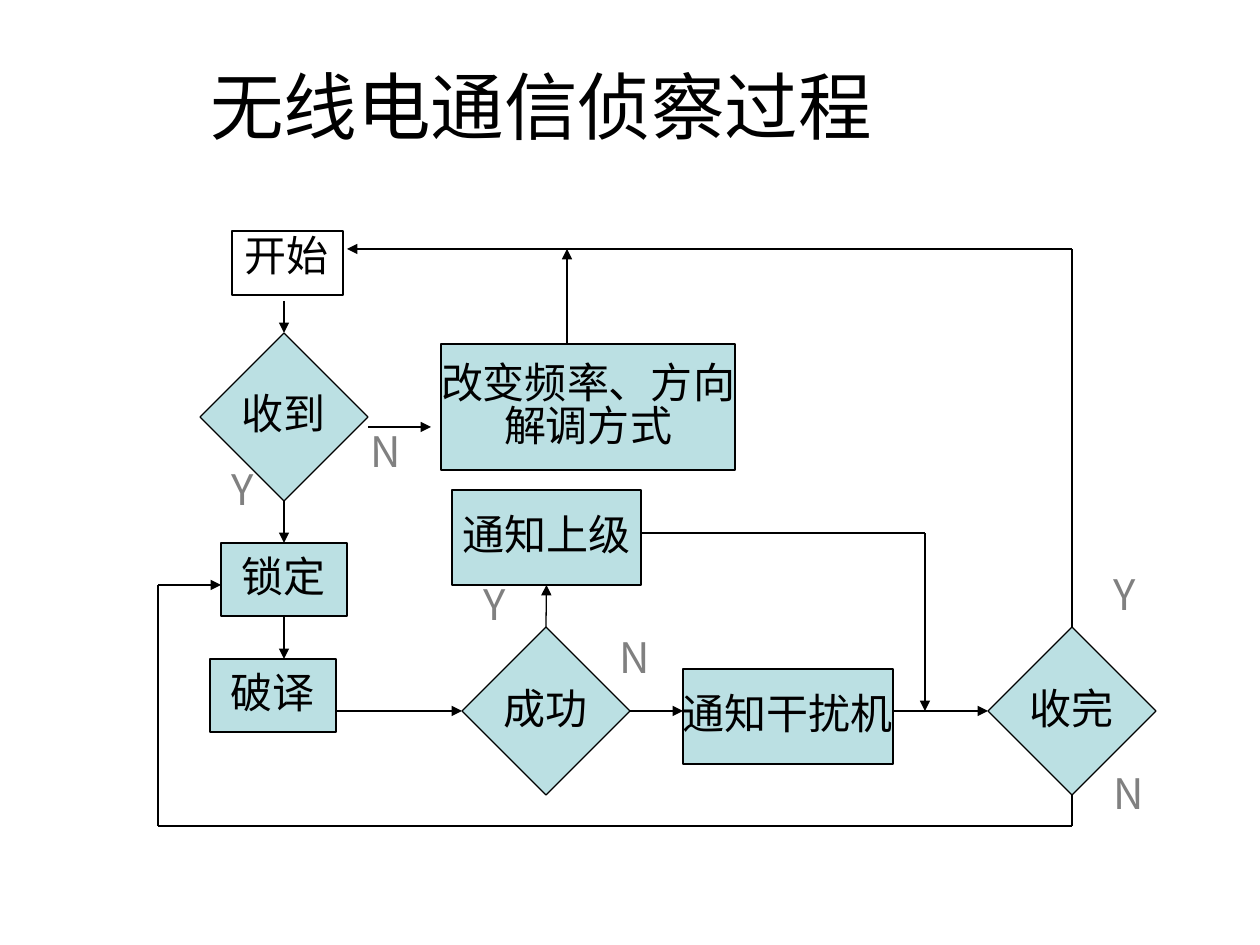
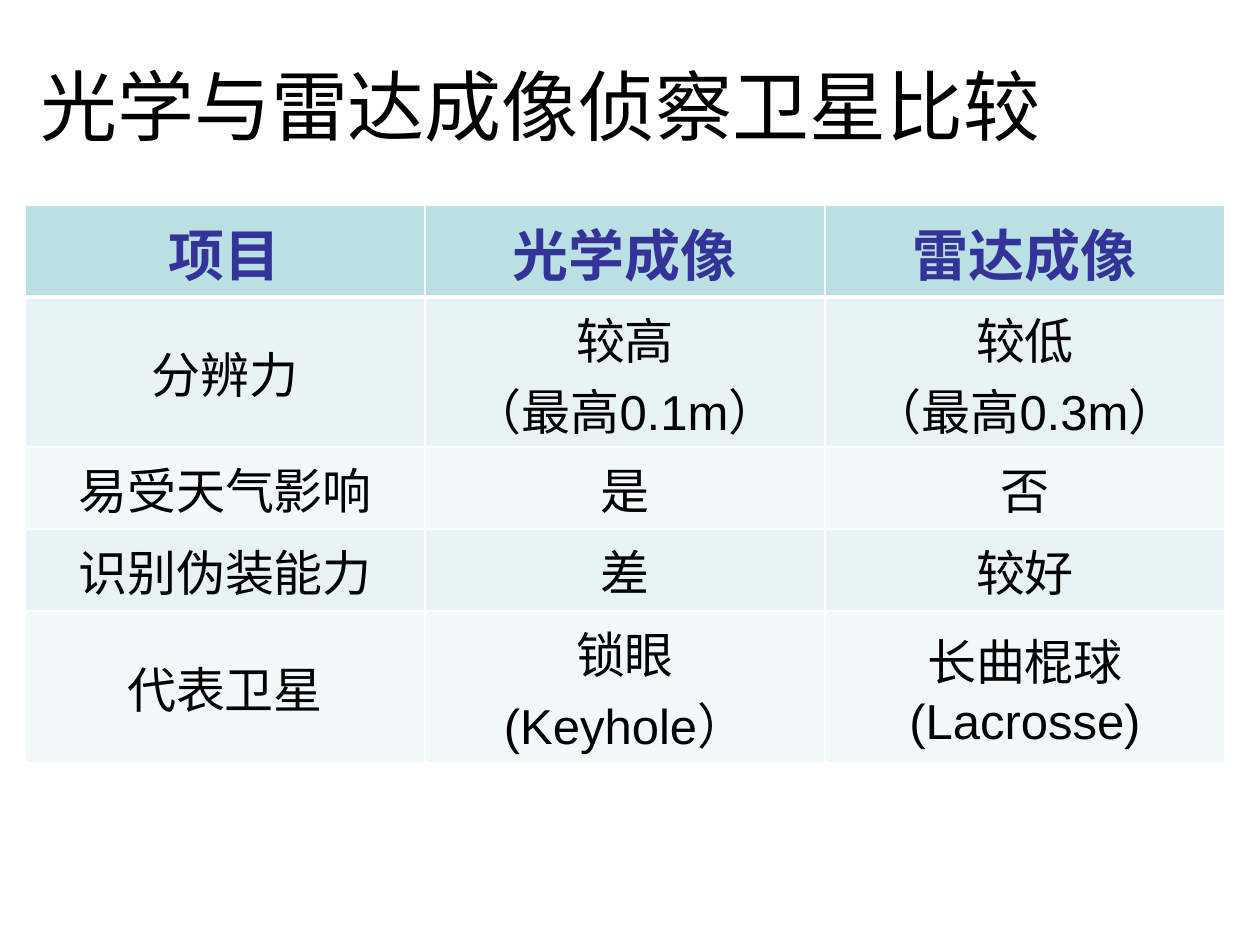
import pptx
import pptx.util
import pptx.dml.color
import pptx.enum.shapes
import pptx.enum.text
import pptx.oxml
import pptx.oxml.ns

RGB = pptx.dml.color.RGBColor
KIND = pptx.enum.shapes.MSO_SHAPE
ANCHOR = pptx.enum.text.MSO_ANCHOR
ALIGN = pptx.enum.text.PP_ALIGN

BLACK = RGB(0x00, 0x00, 0x00)
WHITE = RGB(0xFF, 0xFF, 0xFF)
GRAY = RGB(0x80, 0x80, 0x80)
NAVY = RGB(0x33, 0x33, 0x99)
AQUA = RGB(0xBB, 0xE0, 0xE3)
PALE = RGB(0xE7, 0xF3, 0xF4)
FAINT = RGB(0xF3, 0xF9, 0xFA)

SANS = "Noto Sans CJK SC"
ARIAL = "Arial"
SERIF = "Times New Roman"
TOP, LEFT, BOTTOM, RIGHT = range(4)

STEPS = {
    "start": ("开始", KIND.RECTANGLE, 74, 0, 111, 64),
    "recv": ("收到", KIND.DIAMOND, 42, 102, 168, 168),
    "lock": ("锁定", KIND.RECTANGLE, 63, 312, 126, 73),
    "decode": ("破译", KIND.RECTANGLE, 52, 428, 126, 73),
    "crack": ("成功", KIND.DIAMOND, 304, 396, 168, 168),
    "report": ("通知上级", KIND.RECTANGLE, 294, 259, 189, 95),
    "jam": ("通知干扰机", KIND.RECTANGLE, 525, 438, 210, 95),
    "done": ("收完", KIND.DIAMOND, 830, 396, 168, 168),
    "tune": ("改变频率、方向\n解调方式", KIND.RECTANGLE, 283, 113, 294, 126),
}
ROUTES = [
    [(126, 70), ("recv", TOP)],
    [("recv", BOTTOM), ("lock", TOP)],
    [("lock", BOTTOM), (126, 428)],
    [(178, 480), ("crack", LEFT)],
    [("crack", RIGHT), (525, 480)],
    [(735, 480), ("done", LEFT)],
    [("crack", TOP), ("report", BOTTOM)],
    [("done", BOTTOM), (914, 595), (0, 595), (0, 354), (63, 354)],
    [("done", TOP), (914, 18), (189, 18)],
    [(483, 302), (767, 302), (767, 480)],
    [(210, 196), (273, 196)],
    [(409, 113), (409, 18)],
]
LABELS = [("Y", 61, 234), ("N", 200, 196), ("N", 449, 402),
          ("Y", 313, 349), ("N", 943, 538), ("Y", 943, 339)]
WIDTHS = {"Y": 50, "N": 59}

ROWS = [
    (92, ["项目", "光学成像", "雷达成像"]),
    (150, ["分辨力", "较高\n（最高0.1m）", "较低\n（最高0.3m）"]),
    (82, ["易受天气影响", "是", "否"]),
    (82, ["识别伪装能力", "差", "较好"]),
    (152, ["代表卫星", "锁眼\n(Keyhole）", "长曲棍球\n(Lacrosse)"]),
]


def px(count):
    return round(count * 914400 / 126)


def write(frame, text, size=24, font=SANS, color=BLACK, bold=False,
          align=ALIGN.CENTER, anchor=ANCHOR.MIDDLE, wrap=True, space=None):
    frame.word_wrap = wrap
    frame.vertical_anchor = anchor
    for num, line in enumerate(text.split("\n")):
        para = frame.add_paragraph() if num else frame.paragraphs[0]
        para.alignment = align
        para.line_spacing = space
        run = para.add_run()
        run.text = line
        run.font.size = pptx.util.Pt(size)
        run.font.name = font
        run.font.bold = bold
        run.font.color.rgb = color
        asian = pptx.oxml.parse_xml(
            f'<a:ea {pptx.oxml.ns.nsdecls("a")} typeface="{SANS}"/>')
        run.font.fill
        run.font._element.find(pptx.oxml.ns.qn("a:latin")).addnext(asian)


def title(slide, text, box, **style):
    shape = slide.shapes.add_textbox(*map(px, box))
    write(shape.text_frame, text, **style)


def step(slide, text, kind, box, plain):
    shape = slide.shapes.add_shape(kind, *map(px, box))
    shape.shadow.inherit = False
    shape.line.color.rgb = BLACK
    shape.line.width = pptx.util.Pt(0.75)
    if plain:
        shape.fill.background()
        style = {"align": ALIGN.LEFT, "anchor": ANCHOR.TOP}
    else:
        shape.fill.solid()
        shape.fill.fore_color.rgb = AQUA
        style = {}
    write(shape.text_frame, text, wrap=False, space=0.86, **style)
    return shape


def link(slide, start, end, arrow):
    line = slide.shapes.add_connector(
        pptx.enum.shapes.MSO_CONNECTOR.STRAIGHT, *map(px, start + end))
    line.line.color.rgb = BLACK
    line.line.width = pptx.util.Pt(0.75)
    space = pptx.oxml.ns.nsdecls("a")
    if arrow:
        line.line._get_or_add_ln().append(
            pptx.oxml.parse_xml(f'<a:tailEnd {space} type="triangle"/>'))
    line._element.spPr.append(pptx.oxml.parse_xml(f"<a:effectLst {space}/>"))
    return line


def flow(slide, left, top):
    nodes = {}
    for name, (text, kind, x, y, wide, high) in STEPS.items():
        box = (left + x, top + y, wide, high)
        nodes[name] = step(slide, text, kind, box, name == "start")

    def place(point):
        if point[0] not in STEPS:
            return left + point[0], top + point[1]
        name, side = point
        x, y, wide, high = STEPS[name][2:]
        dx, dy = [(wide / 2, 0), (0, high / 2),
                  (wide / 2, high), (wide, high / 2)][side]
        return left + x + dx, top + y + dy

    for route in ROUTES:
        for start, end in zip(route, route[1:]):
            line = link(slide, place(start), place(end), end is route[-1])
            if start[0] in nodes:
                line.begin_connect(nodes[start[0]], start[1])
            if end[0] in nodes:
                line.end_connect(nodes[end[0]], end[1])

    for text, x, y in LABELS:
        box = (left + x, top + y, WIDTHS[text], 63)
        shape = slide.shapes.add_textbox(*map(px, box))
        write(shape.text_frame, text, color=GRAY, wrap=False, space=0.86,
              align=ALIGN.LEFT, anchor=ANCHOR.TOP)


def border(cell, **widths):
    props = cell._tc.get_or_add_tcPr()
    for side in "LRTB":
        width = pptx.util.Pt(widths.get(side, 1))
        props.append(pptx.oxml.parse_xml(
            f'<a:ln{side} {pptx.oxml.ns.nsdecls("a")} w="{width}">'
            f'<a:solidFill><a:srgbClr val="{WHITE}"/></a:solidFill>'
            f'</a:ln{side}>'))


def grid(slide, left, top, wide):
    high = sum(row[0] for row in ROWS)
    table = slide.shapes.add_table(
        len(ROWS), 3, *map(px, (left, top, wide, high))).table
    table.first_row = table.horz_banding = False
    for col in table.columns:
        col.width = px(wide / 3)
    for num, (tall, texts) in enumerate(ROWS):
        table.rows[num].height = px(tall)
        head = num == 0
        style = ({"size": 32, "color": NAVY, "bold": True} if head
                 else {"size": 28})
        for col, text in enumerate(texts):
            cell = table.cell(num, col)
            border(cell, T=3 if num == 1 else 1, B=3 if head else 1)
            cell.fill.solid()
            cell.fill.fore_color.rgb = AQUA if head else (FAINT, PALE)[num % 2]
            write(cell.text_frame, text, font=ARIAL, **style)
            cell.vertical_anchor = ANCHOR.MIDDLE


def main():
    deck = pptx.Presentation()
    deck.slide_width, deck.slide_height = px(1260), px(945)
    blank = deck.slide_layouts[6]
    banner = (25, 26, 1032, 158)

    slide = deck.slides.add_slide(blank)
    title(slide, "无线电通信侦察过程", banner, size=42, font=SERIF)
    flow(slide, 158, 231)

    slide = deck.slides.add_slide(blank)
    title(slide, "光学与雷达成像侦察卫星比较", banner, size=44, font=ARIAL)
    grid(slide, 25, 205, 1200)

    deck.save("out.pptx")


if __name__ == "__main__":
    main()
